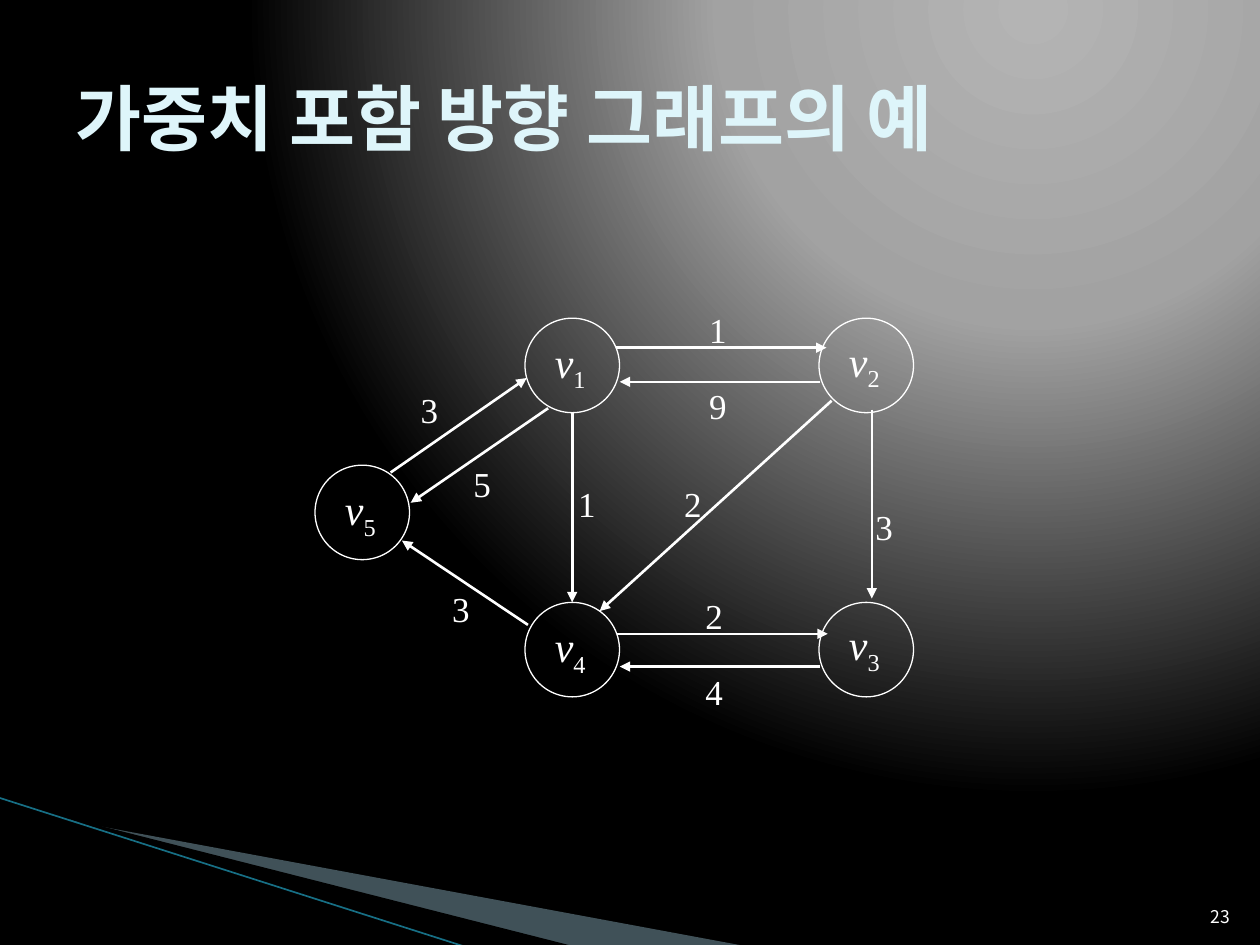
import pptx
import pptx.dml.color
import pptx.enum.shapes
import pptx.enum.text
import pptx.oxml
import pptx.oxml.ns
import pptx.util

Pt = pptx.util.Pt
Kind = pptx.enum.shapes.MSO_SHAPE
Line = pptx.enum.shapes.MSO_CONNECTOR
Align = pptx.enum.text.PP_ALIGN
Anchor = pptx.enum.text.MSO_ANCHOR
Fit = pptx.enum.text.MSO_AUTO_SIZE

TITLE = "가중치 포함 방향 그래프의 예"
PAGE = "23"
WHITE = "FFFFFF"
SERIF = "Times New Roman"
KOREAN = "Noto Sans CJK KR"

STOPS = [(0, "B4B4B4"), (40, "A2A2A2"), (100, "000000")]
WEDGES = [  # corners, colour, opacity in percent
    ([(39.6, 468.7), (428.4, 540.7), (328.3, 540.7), (39.6, 468)], "A0CBDC", 40),
    ([(38.2, 467.3), (329, 540.7), (267.8, 541.4), (38.9, 468)], "000000", 100),
]
STRIPE = ((-0.7, 455.8), (267.1, 541.4))

SIZE = 54
NODES = [  # index, left, top, drop of the name inside the circle
    ("5", 180, 265.8, 7.2),
    ("1", 300, 181.8, 6.8),
    ("4", 300, 344.2, 7),
    ("2", 468, 181.8, 6.1),
    ("3", 468, 344.2, 5.8),
]
EDGES = [  # start, end, weight, left and top of the weight
    ((223.2, 270), (301, 216), "3", (233.3, 218.2)),
    ((313.2, 233.3), (234.7, 287.3), "5", (263.5, 260.6)),
    ((301.7, 357.1), (229.7, 308.9), "3", (251.3, 331.9)),
    ((327, 236), (327, 344.2), "1", (323.3, 272.2)),
    ((498.2, 234), (498.2, 342), "3", (493.2, 285.1)),
    ((352.1, 198.7), (472.3, 198.7), "1", (398.2, 172.8)),
    ((468.7, 218.2), (354.2, 218.2), "9", (398.2, 216)),
    ((352.8, 362.2), (473, 362.2), "2", (396, 336.2)),
    ((468.7, 380.9), (354.2, 380.9), "4", (396, 379.4)),
    ((475.2, 229), (342.7, 349.2), "2", (383.8, 272.2)),
]


def rgb(code):
    return pptx.dml.color.RGBColor.from_string(code)


def xml(body):
    names = pptx.oxml.ns.nsdecls("a", "p")
    return pptx.oxml.parse_xml(f"<wrap {names}>{body}</wrap>")[0]


def shade(slide):
    """Give the slide a round gradient centred near its top right."""
    stops = "".join(f'<a:gs pos="{pos * 1000}"><a:srgbClr val="{code}"/></a:gs>'
                    for pos, code in STOPS)
    slide.element.cSld.insert(0, xml(
        f'<p:bg><p:bgPr><a:gradFill rotWithShape="1"><a:gsLst>{stops}</a:gsLst>'
        '<a:path path="circle"><a:fillToRect l="65000" t="0" r="0" b="98000"/></a:path>'
        '</a:gradFill><a:effectLst/></p:bgPr></p:bg>'))


def wedge(slide, spots, code, alpha):
    maker = slide.shapes.build_freeform(*spots[0], scale=Pt(1))
    maker.add_line_segments(spots[1:], close=True)
    shape = maker.convert_to_shape()
    shape.shadow.inherit = False
    shape.line.fill.background()
    shape.fill.solid()
    shape.fill.fore_color.rgb = rgb(code)
    if alpha < 100:
        tint = shape.element.spPr.find(".//" + pptx.oxml.ns.qn("a:srgbClr"))
        tint.append(xml(f'<a:alpha val="{alpha * 1000}"/>'))


def link(shapes, start, end, code, width, arrow=False):
    line = shapes.add_connector(Line.STRAIGHT, *map(Pt, start + end))
    line.line.color.rgb = rgb(code)
    line.line.width = Pt(width)
    if arrow:
        outline = line.element.spPr.find(pptx.oxml.ns.qn("a:ln"))
        outline.append(xml('<a:tailEnd type="triangle"/>'))
    line.element.spPr.append(xml("<a:effectLst/>"))


def write(shapes, box, runs, code=WHITE, align=Align.LEFT, **frame):
    """Add a text box; runs pair a text with its font values."""
    text = shapes.add_textbox(*map(Pt, box)).text_frame
    for key, value in frame.items():
        setattr(text, key, value)
    para = text.paragraphs[0]
    para.alignment = align
    for words, font in runs:
        run = para.add_run()
        run.text = words
        run.font.color.rgb = rgb(code)
        for key, value in font.items():
            setattr(run.font, key, value)
    return para


def ring(shapes, left, top):
    shape = shapes.add_shape(Kind.OVAL, Pt(left), Pt(top), Pt(SIZE), Pt(SIZE))
    shape.shadow.inherit = False
    shape.fill.background()
    shape.line.color.rgb = rgb(WHITE)
    shape.line.width = Pt(0.75)


def main():
    deck = pptx.Presentation()
    deck.slide_width, deck.slide_height = Pt(720), Pt(540)
    slide = deck.slides.add_slide(deck.slide_layouts[6])
    shade(slide)
    for spots, code, alpha in WEDGES:
        wedge(slide, spots, code, alpha)
    link(slide.shapes, *STRIPE, "176F85", 0.95)

    page = write(slide.shapes, (681.1, 504.7, 28.8, 28.8),
                 [(PAGE, {"size": Pt(10), "name": KOREAN})], align=Align.RIGHT,
                 vertical_anchor=Anchor.BOTTOM, word_wrap=True,
                 margin_left=0, margin_right=Pt(7.2))
    title = write(slide.shapes, (36, 21.6, 648, 90),
                  [(TITLE, {"size": Pt(41), "name": "Noto Sans Mono", "bold": True})],
                  "DEF5FA", vertical_anchor=Anchor.MIDDLE, word_wrap=True)
    for para in (page, title):
        para.runs[0].font._element.append(xml(f'<a:ea typeface="{KOREAN}"/>'))

    graph = slide.shapes.add_group_shape().shapes
    loose = {"word_wrap": False, "auto_size": Fit.SHAPE_TO_FIT_TEXT}
    name = {"size": Pt(24), "name": SERIF}
    for index, left, top, drop in NODES:
        ring(graph, left, top)
        para = write(graph, (left + 10, top + drop, 33.1, 33.1),
                     [("v", {**name, "italic": True}), (index, name)], **loose)
        para.runs[1].font._element.set("baseline", "-25000")
    for start, end, weight, spot in EDGES:
        link(graph, start, end, WHITE, 1.5, arrow=True)
        write(graph, spot + (24.5, 28.8),
              [(weight, {"size": Pt(20), "name": SERIF})], **loose)
    deck.save("out.pptx")


if __name__ == "__main__":
    main()
